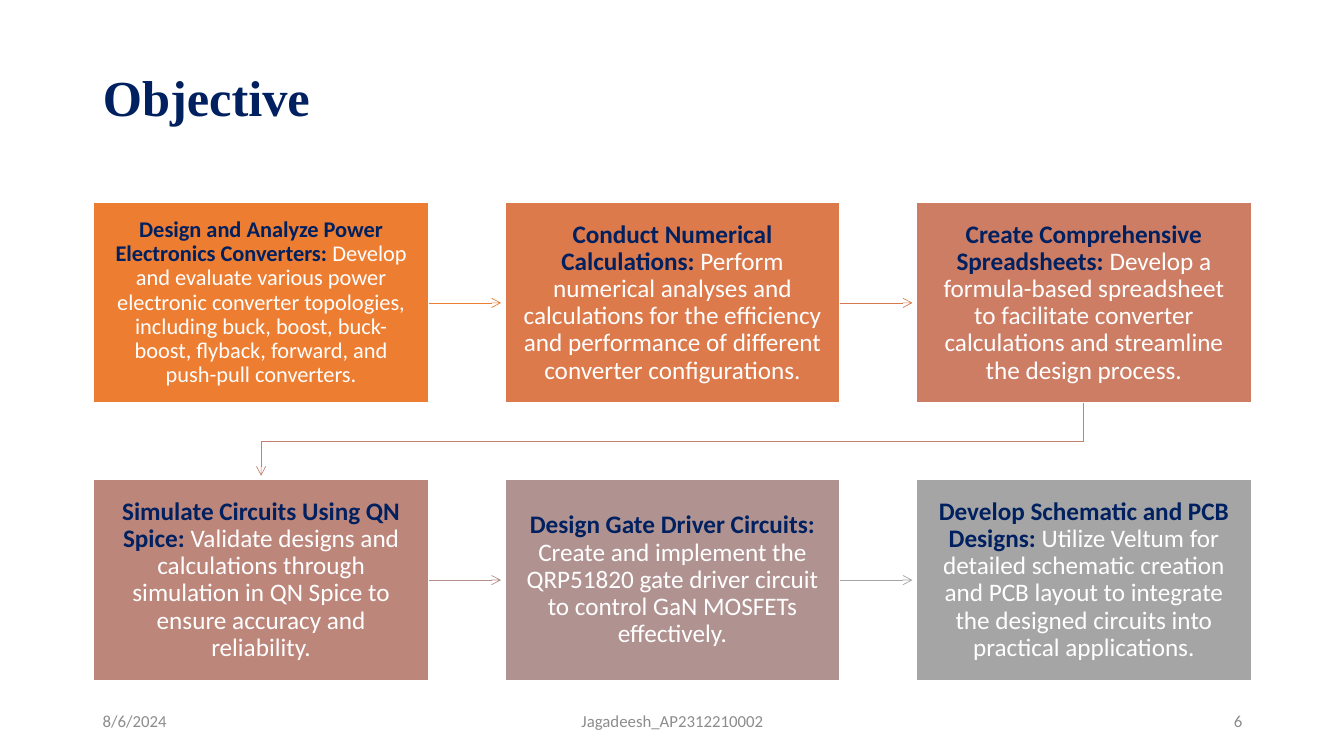
from lxml import etree
from pptx import Presentation
from pptx.dml.color import RGBColor
from pptx.enum import shapes, text
from pptx.oxml import ns
from pptx.util import Inches, Pt

COLORS = {"navy": "002060", "white": "FFFFFF", "gray": "8C8C8C", "return": "C48170"}
BOX_LEFT, BOX_TOP = 0.93, 2.01
BOX_WIDTH, BOX_HEIGHT = 3.32, 1.99
STEP_X, STEP_Y = 4.08, 2.75
COLUMNS = 3
ARROW_GAP = 0.04

# Heading, description, text size, fill, colour of the arrow to the next box
STEPS = [
    ("Design and Analyze Power Electronics Converters: ",
     "Develop and evaluate various power electronic converter topologies, including "
     "buck, boost, buck-boost, flyback, forward, and push-pull converters.",
     16, "ED7D31", "ED7D31"),
    ("Conduct Numerical Calculations: ",
     "Perform numerical analyses and calculations for the efficiency and performance "
     "of different converter configurations.",
     18, "DC7A4B", "D87A51"),
    ("Create Comprehensive Spreadsheets: ",
     "Develop a formula-based spreadsheet to facilitate converter calculations and "
     "streamline the design process.",
     18, "CC7D64", None),
    ("Simulate Circuits Using QN Spice: ",
     "Validate designs and calculations through simulation in QN Spice to ensure "
     "accuracy and reliability.",
     18, "BD867B", "B4908B"),
    ("Design Gate Driver Circuits: ",
     "Create and implement the QRP51820 gate driver circuit to control GaN MOSFETs "
     "effectively.",
     18, "B09391", "A5A5A5"),
    ("Develop Schematic and PCB Designs: ",
     "Utilize Veltum for detailed schematic creation and PCB layout to integrate the "
     "designed circuits into practical applications.",
     18, "A5A5A5", None),
]

FOOTERS = [
    ("8/6/2024", 0.92, 3, text.PP_ALIGN.LEFT),
    ("Jagadeesh_AP2312210002", 4.42, 4.5, text.PP_ALIGN.CENTER),
    ("6", 9.42, 3, text.PP_ALIGN.RIGHT),
]


def style_span(span, size, color, bold=False, name="Calibri"):
    span.font.name = name
    span.font.size = Pt(size)
    span.font.bold = bold
    span.font.color.rgb = RGBColor.from_string(color)


def add_title(page, words):
    title = page.shapes.title
    title.left, title.top = Inches(0.92), Inches(0.61)
    title.width, title.height = Inches(11.5), Inches(1.24)
    frame = title.text_frame
    frame.text = words
    frame.vertical_anchor = text.MSO_ANCHOR.TOP
    frame.margin_top = Inches(0.11)
    para = frame.paragraphs[0]
    para.alignment = text.PP_ALIGN.LEFT
    para.line_spacing = 0.9
    style_span(para.runs[0], 36, COLORS["navy"], True, "Times New Roman")


def add_footer(page, words, left, width, alignment):
    box = page.shapes.add_textbox(Inches(left), Inches(6.95), Inches(width), Inches(0.4))
    frame = box.text_frame
    frame.word_wrap = True
    frame.vertical_anchor = text.MSO_ANCHOR.MIDDLE
    frame.text = words
    para = frame.paragraphs[0]
    para.alignment = alignment
    style_span(para.runs[0], 12, COLORS["gray"])


def add_step(page, left, top, heading, description, size, fill):
    box = page.shapes.add_shape(shapes.MSO_SHAPE.RECTANGLE, Inches(left), Inches(top),
                                Inches(BOX_WIDTH), Inches(BOX_HEIGHT))
    box.shadow.inherit = False
    box.fill.solid()
    box.fill.fore_color.rgb = RGBColor.from_string(fill)
    box.line.color.rgb = RGBColor.from_string(COLORS["white"])
    box.line.width = Pt(1)
    frame = box.text_frame
    frame.word_wrap = True
    frame.vertical_anchor = text.MSO_ANCHOR.MIDDLE
    frame.margin_left = frame.margin_right = Inches(0.16)
    frame.margin_top = frame.margin_bottom = Inches(0.17)
    para = frame.paragraphs[0]
    para.alignment = text.PP_ALIGN.CENTER
    para.line_spacing = 0.9
    for words, color, bold in ((heading, COLORS["navy"], True),
                               (description, COLORS["white"], False)):
        span = para.add_run()
        span.text = words
        style_span(span, size, color, bold)
    return box


def style_arrow(line, color):
    line.color.rgb = RGBColor.from_string(color)
    line.width = Pt(0.5)
    etree.SubElement(line.color._xFill.getparent(), ns.qn("a:tailEnd"), type="arrow")


def add_arrow(page, box, left, top, color):
    middle = Inches(top + BOX_HEIGHT / 2)
    arrow = page.shapes.add_connector(
        shapes.MSO_CONNECTOR.STRAIGHT, Inches(left + BOX_WIDTH), middle,
        Inches(left + STEP_X - ARROW_GAP), middle)
    arrow.begin_connect(box, 3)
    style_arrow(arrow.line, color)
    etree.SubElement(arrow._element.spPr, ns.qn("a:effectLst"))


def add_return_arrow(page):
    """Lead from the last box of the first row to the first box of the second."""
    end_x = BOX_LEFT + BOX_WIDTH / 2
    start_x = end_x + (COLUMNS - 1) * STEP_X
    start_y = BOX_TOP + BOX_HEIGHT
    end_y = BOX_TOP + STEP_Y - ARROW_GAP
    bend_y = (BOX_TOP + STEP_Y + start_y) / 2
    builder = page.shapes.build_freeform(Inches(start_x), Inches(start_y))
    corners = [(start_x, bend_y), (end_x, bend_y), (end_x, end_y)]
    builder.add_line_segments([(Inches(x), Inches(y)) for x, y in corners], close=False)
    arrow = builder.convert_to_shape()
    arrow.fill.background()
    style_arrow(arrow.line, COLORS["return"])
    arrow.shadow.inherit = False


def main():
    deck = Presentation()
    deck.slide_width, deck.slide_height = Inches(13.33), Inches(7.5)
    page = deck.slides.add_slide(deck.slide_layouts[5])
    add_title(page, "Objective")

    # Process boxes and arrows
    for index, (heading, description, size, fill, arrow_color) in enumerate(STEPS):
        row, column = divmod(index, COLUMNS)
        left, top = BOX_LEFT + column * STEP_X, BOX_TOP + row * STEP_Y
        box = add_step(page, left, top, heading, description, size, fill)
        if arrow_color:
            add_arrow(page, box, left, top, arrow_color)
    add_return_arrow(page)

    # Date, author and page number
    for footer in FOOTERS:
        add_footer(page, *footer)
    deck.save("out.pptx")


if __name__ == "__main__":
    main()
